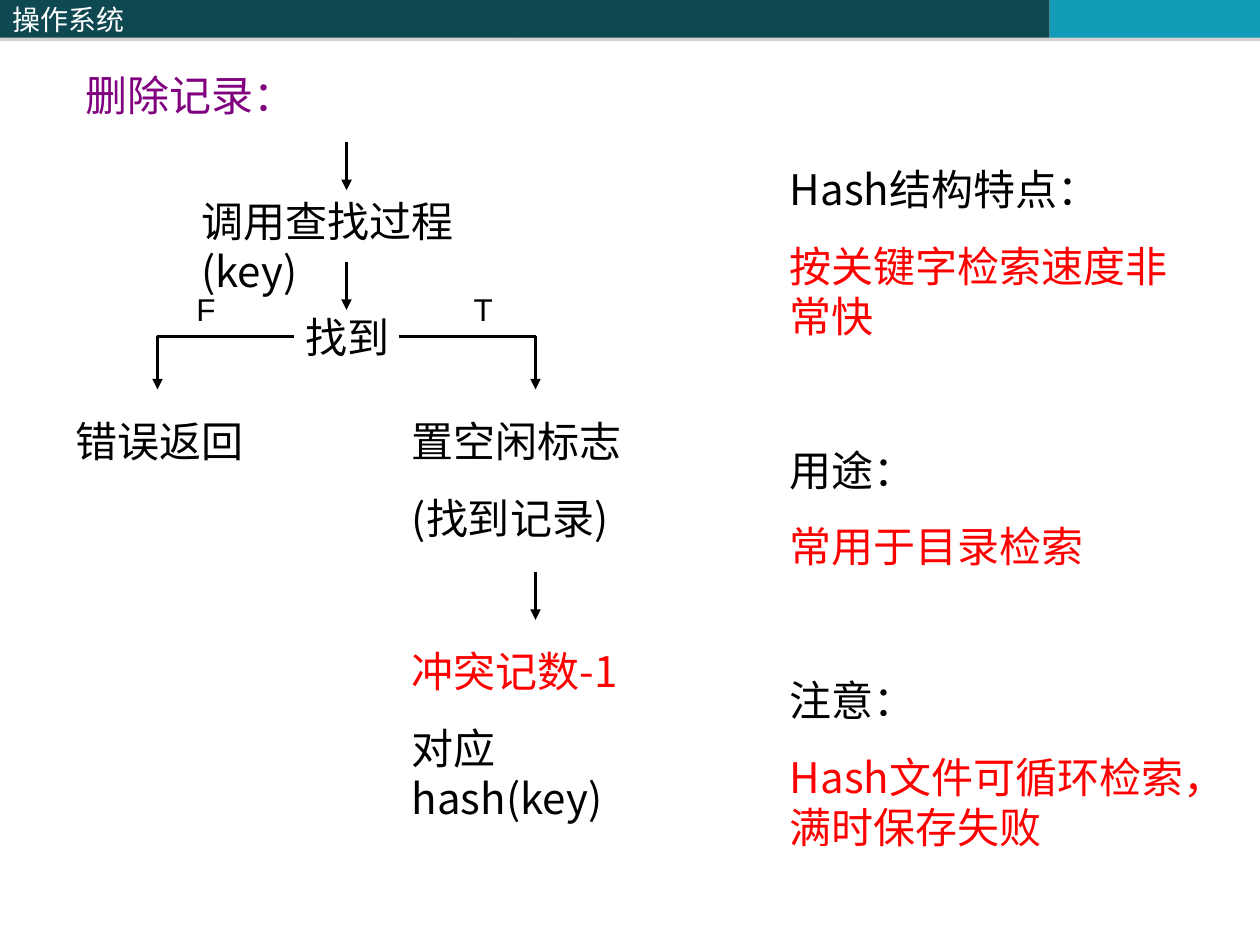
from lxml import etree
from pptx import Presentation
from pptx.dml.color import RGBColor
from pptx.enum.shapes import MSO_CONNECTOR as Connector, MSO_SHAPE as Shape
from pptx.enum.text import MSO_ANCHOR as Anchor, MSO_AUTO_SIZE as AutoSize
from pptx.oxml import parse_xml
from pptx.oxml.ns import nsdecls, qn
from pptx.util import Inches, Pt

CJK_FONT = "Noto Sans CJK SC"
BLACK, RED, PURPLE, WHITE = "000000", "FF0000", "800080", "FFFFFF"
TEAL, CYAN = "0E4851", "139CB7"
SPACE = 15        # points between paragraphs
GROUP_SPACE = 59  # points between groups of paragraphs


def rgb(value):
    return RGBColor.from_string(value)


def write_paragraph(paragraph, text, size=24, font=CJK_FONT, color=BLACK, before=0):
    paragraph.space_before = Pt(before)
    run = paragraph.add_run()
    run.text = text
    run.font.size = Pt(size)
    run.font.name = font
    run.font.color.rgb = rgb(color)
    east_asian = etree.SubElement(run.font._element, qn("a:ea"))
    east_asian.set("typeface", font)


def add_text(slide, left, top, width, height, paragraphs, **text_format):
    """Paragraphs are (text, color, space before) tuples."""
    box = slide.shapes.add_textbox(Inches(left), Inches(top), Inches(width), Inches(height))
    frame = box.text_frame
    frame.word_wrap = True
    frame.auto_size = AutoSize.SHAPE_TO_FIT_TEXT
    for index, (text, color, before) in enumerate(paragraphs):
        paragraph = frame.add_paragraph() if index else frame.paragraphs[0]
        write_paragraph(paragraph, text, color=color, before=before, **text_format)


def style_arrow(shape):
    shape.line.color.rgb = rgb(BLACK)
    shape.line.width = Pt(2)
    line = shape.line._get_or_add_ln()
    etree.SubElement(line, qn("a:tailEnd"), type="triangle")
    etree.SubElement(shape._element.spPr, qn("a:effectLst"))


def add_down_arrow(slide, x, top, length=0.38):
    arrow = slide.shapes.add_connector(
        Connector.STRAIGHT, Inches(x), Inches(top), Inches(x), Inches(top + length))
    style_arrow(arrow)


def add_branch(slide, start_x, end_x, top, drop=0.42):
    builder = slide.shapes.build_freeform(Inches(start_x), Inches(top))
    corners = [(end_x, top), (end_x, top + drop)]
    builder.add_line_segments([(Inches(x), Inches(y)) for x, y in corners], close=False)
    branch = builder.convert_to_shape()
    branch.fill.background()
    style_arrow(branch)


def add_header(slide, left, top, height):
    segments = [(4.08, TEAL, "操作系统"), (4.25, TEAL, ""), (1.67, CYAN, "")]
    for width, color, text in segments:
        bar = slide.shapes.add_shape(
            Shape.RECTANGLE, Inches(left), Inches(top), Inches(width), Inches(height))
        bar.fill.solid()
        bar.fill.fore_color.rgb = rgb(color)
        bar.line.fill.background()
        # Soft grey shadow below the bar
        bar._element.spPr.append(parse_xml(
            f'<a:effectLst {nsdecls("a")}><a:outerShdw dist="22860" dir="5400000">'
            '<a:srgbClr val="808080"><a:alpha val="35000"/></a:srgbClr>'
            '</a:outerShdw></a:effectLst>'))
        if text:
            frame = bar.text_frame
            frame.vertical_anchor = Anchor.MIDDLE
            paragraph = frame.paragraphs[0]
            paragraph.alignment = 1  # left
            write_paragraph(paragraph, text, size=16, color=WHITE)
        left += width


def add_flowchart(slide, left, top):
    center, error_x, found_x = left + 2.25, left + 0.75, left + 3.75
    branch_top = top + 1.54

    # Steps
    add_text(slide, left + 1, top + 0.37, 2.92, 0.9, [("调用查找过程(key)", BLACK, 0)])
    add_text(slide, left + 1.83, top + 1.29, 1, 0.5, [("找到", BLACK, 0)])
    add_text(slide, left, top + 2.12, 1.75, 0.5, [("错误返回", BLACK, 0)])
    add_text(slide, left + 2.67, top + 2.12, 2.25, 3.34, [
        ("置空闲标志", BLACK, 0),
        ("(找到记录)", BLACK, SPACE),
        ("冲突记数-1", RED, GROUP_SPACE),
        ("对应hash(key)", BLACK, SPACE),
    ])

    # Arrows and branches
    for x, offset in [(center, 0), (center, 0.95), (found_x, 3.41)]:
        add_down_arrow(slide, x, top + offset)
    add_branch(slide, left + 2.67, found_x, branch_top)
    add_branch(slide, left + 1.83, error_x, branch_top)

    # Branch labels
    for label, offset in [("F", 0.96), ("T", 3.16)]:
        add_text(slide, left + offset, top + 1.12, 0.39, 0.4, [(label, BLACK, 0)],
                 size=18, font="Arial")


def add_notes_column(slide, left, top, width, height):
    topics = [
        ("Hash结构特点：", "按关键字检索速度非常快"),
        ("用途：", "常用于目录检索"),
        ("注意：", "Hash文件可循环检索，满时保存失败"),
    ]
    paragraphs = []
    for heading, detail in topics:
        before = GROUP_SPACE if paragraphs else 0
        paragraphs += [(heading, BLACK, before), (detail, RED, SPACE)]
    add_text(slide, left, top, width, height, paragraphs)


def main():
    presentation = Presentation()
    presentation.slide_width = Inches(10)
    presentation.slide_height = Inches(7.5)
    slide = presentation.slides.add_slide(presentation.slide_layouts[6])

    add_header(slide, 0, 0, 0.3)
    add_text(slide, 0.58, 0.5, 1.92, 0.5, [("删除记录：", PURPLE, 0)])
    add_flowchart(slide, 0.5, 1.13)
    add_notes_column(slide, 6.17, 1.25, 3.42, 5.56)

    presentation.save("out.pptx")


if __name__ == "__main__":
    main()
